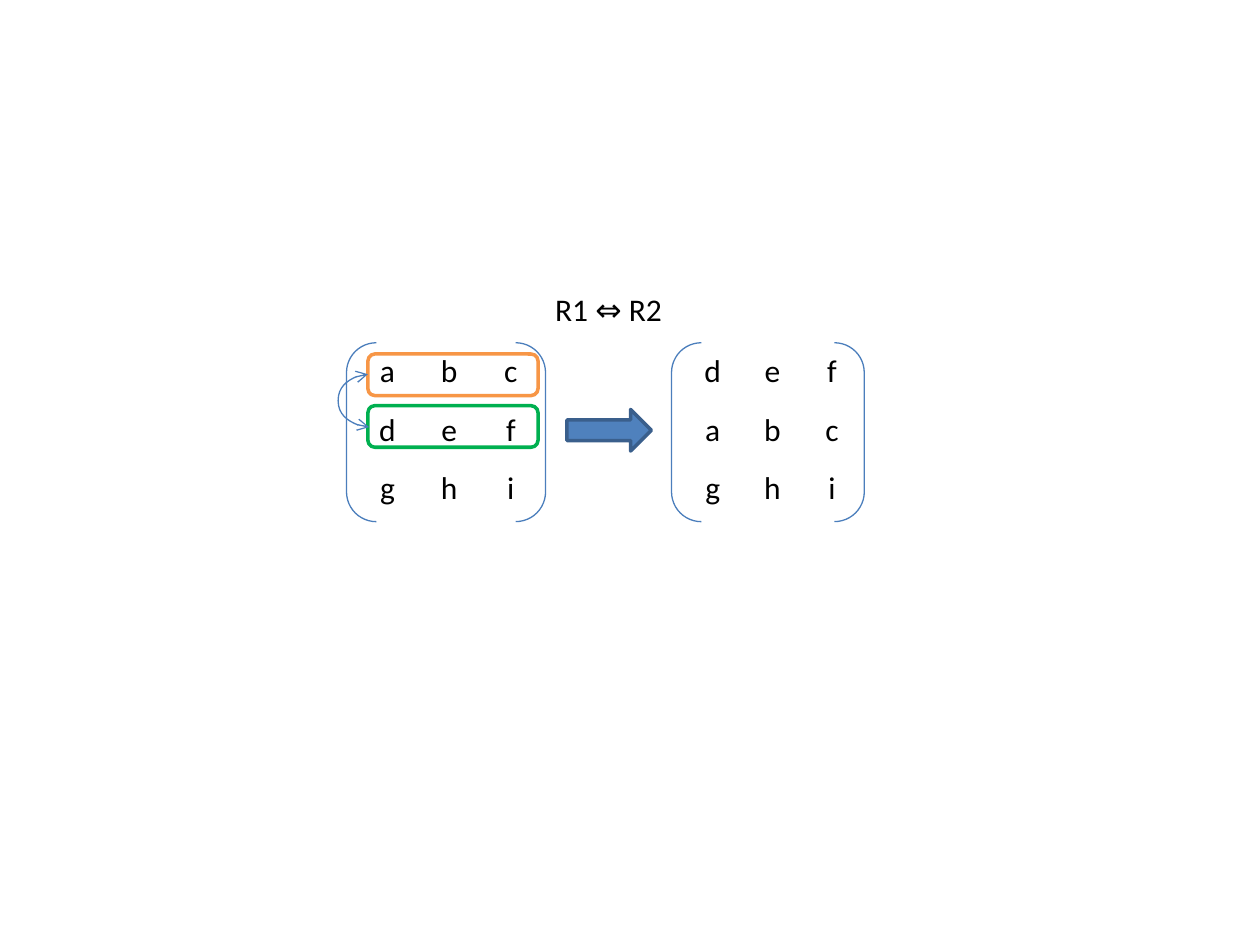
from lxml import etree
from pptx import Presentation
from pptx.dml.color import RGBColor
from pptx.enum.shapes import MSO_CONNECTOR, MSO_SHAPE
from pptx.enum.text import PP_ALIGN
from pptx.oxml.ns import qn
from pptx.util import Inches, Pt

BRACKETS = MSO_SHAPE.DOUBLE_BRACKET
ROUNDED = MSO_SHAPE.ROUNDED_RECTANGLE
RIGHT_ARROW = MSO_SHAPE.RIGHT_ARROW
CURVE = MSO_CONNECTOR.CURVE
CENTER = PP_ALIGN.CENTER

COLORS = {
    "text": "000000",
    "thin": "4B7EBC",
    "first row": "F79646",
    "second row": "00B050",
    "arrow": "4F81BD",
    "arrow edge": "3A5F8C",
}


def color(name):
    return RGBColor.from_string(COLORS[name])


def write(frame, text):
    para = frame.paragraphs[0]
    para.text = text
    para.alignment = CENTER
    para.font.name = "Calibri"
    para.font.size = Pt(18)
    para.font.color.rgb = color("text")


def add_outline(slide, kind, left, top, width, height, line, points, fill=None):
    shape = slide.shapes.add_shape(
        kind, Inches(left), Inches(top), Inches(width), Inches(height))
    shape.shadow.inherit = False
    if fill:
        shape.fill.solid()
        shape.fill.fore_color.rgb = color(fill)
    else:
        shape.fill.background()
    shape.line.color.rgb = color(line)
    shape.line.width = Pt(points)


def add_matrix(slide, rows, left, width, bracket_left, bracket_width):
    table = slide.shapes.add_table(
        len(rows), len(rows[0]), Inches(left), Inches(2.75),
        Inches(width), Inches(1.39)).table
    table.first_row = False
    table.horz_banding = False
    for r, letters in enumerate(rows):
        for c, letter in enumerate(letters):
            cell = table.cell(r, c)
            cell.fill.background()
            write(cell.text_frame, letter)
    add_outline(slide, BRACKETS, bracket_left, 2.72, bracket_width, 1.42, "thin", 0.75)


def add_swap_arrow(slide, start, end, bulge):
    """Curved double arrow that swings left of its start by bulge inches."""
    line = slide.shapes.add_connector(CURVE, *map(Inches, start + end))
    line.line.color.rgb = color("thin")
    line.line.width = Pt(0.75)
    properties = line._element.spPr
    guides = properties.find(qn("a:prstGeom")).get_or_add_avLst()
    ratio = round(bulge / (start[0] - end[0]) * 100000)
    etree.SubElement(guides, qn("a:gd"), name="adj1", fmla=f"val {ratio}")
    outline = line.line._get_or_add_ln()
    for tag in ("a:headEnd", "a:tailEnd"):
        etree.SubElement(outline, qn(tag), type="arrow")
    etree.SubElement(properties, qn("a:effectLst"))


def add_label(slide, text, left, top, width, height):
    box = slide.shapes.add_textbox(
        Inches(left), Inches(top), Inches(width), Inches(height))
    box.text_frame.word_wrap = True
    write(box.text_frame, text)


def main():
    deck = Presentation()
    deck.slide_width, deck.slide_height = Inches(10), Inches(7.5)
    slide = deck.slides.add_slide(deck.slide_layouts[6])

    # Matrix before the swap, with the two rows marked
    add_matrix(slide, ["abc", "def", "ghi"], 2.83, 1.47, 2.75, 1.58)
    for top, line in ((2.81, "first row"), (3.22, "second row")):
        add_outline(slide, ROUNDED, 2.92, top, 1.35, 0.33, line, 2)
    add_swap_arrow(slide, (2.93, 3.39), (2.92, 2.97), 0.25)

    # Step to the result
    add_outline(slide, RIGHT_ARROW, 4.5, 3.25, 0.67, 0.33, "arrow edge", 2, "arrow")

    # Matrix after the swap
    add_matrix(slide, ["def", "abc", "ghi"], 5.42, 1.42, 5.33, 1.53)
    add_label(slide, "R1 ⇔ R2", 3.83, 2.25, 2, 0.4)

    deck.save("out.pptx")


if __name__ == "__main__":
    main()
